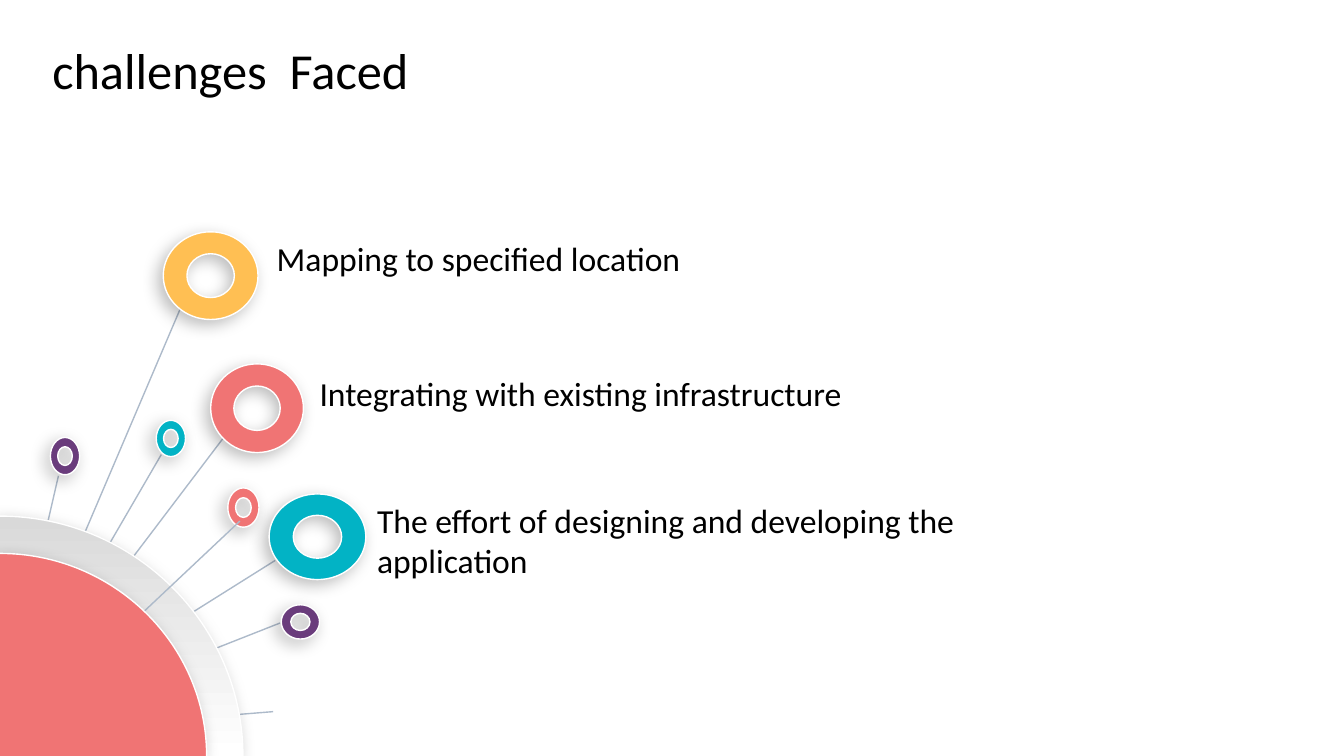
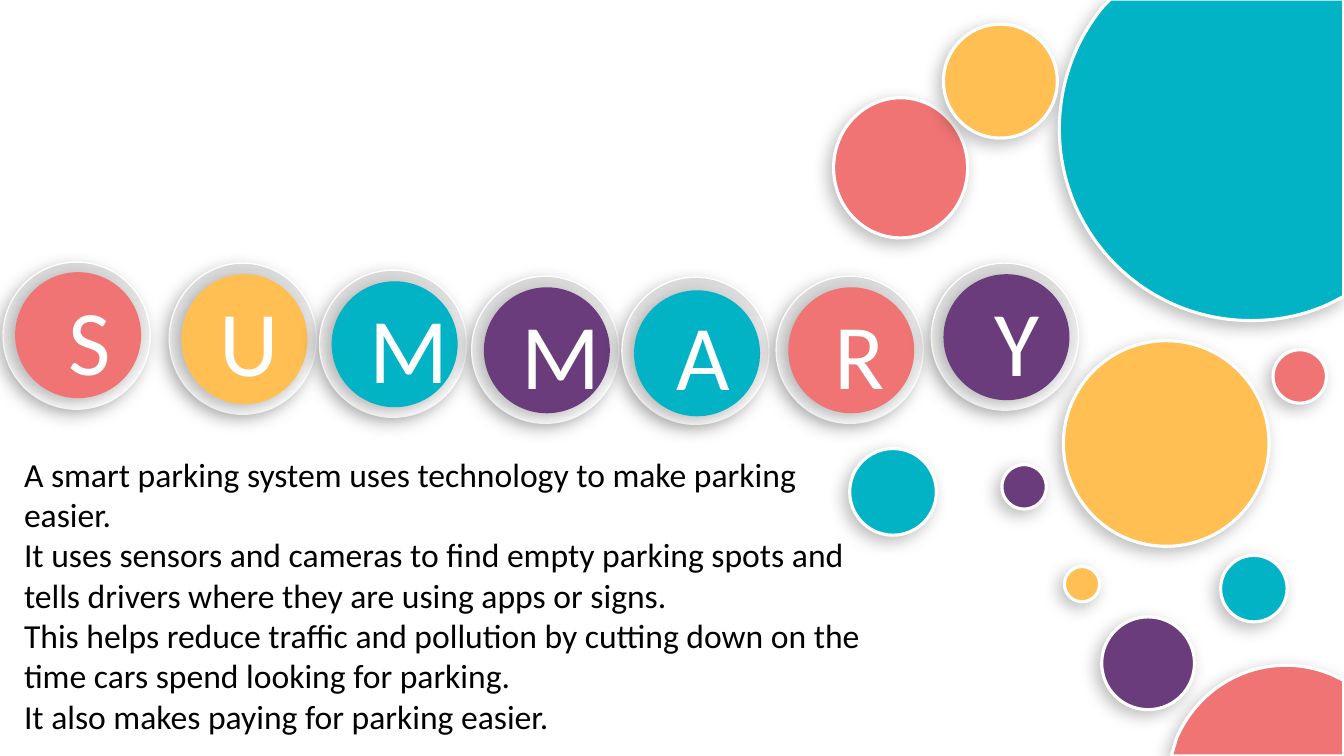
"""Build the challenges and summary slides of the smart parking deck."""
import copy
import dataclasses

import lxml.etree
import pptx
import pptx.dml.color
import pptx.enum.shapes
import pptx.enum.text
import pptx.oxml.ns
import pptx.util

PX = 9144
HEIGHT = 750
KAPPA = 0.55
ALIGN = pptx.enum.text.PP_ALIGN
LEFT, CENTER, RIGHT = ALIGN.LEFT, ALIGN.CENTER, ALIGN.RIGHT
qn = pptx.oxml.ns.qn


@dataclasses.dataclass(frozen=True)
class Theme:
    coral: str = "F07474"
    amber: str = "FFBF53"
    teal: str = "02B3C5"
    purple: str = "6A3C7C"
    white: str = "FFFFFF"
    silver: str = "D9D9D9"
    ray: str = "ADBACA"
    ink: str = "000000"
    font: str = "Calibri"
    title: int = 36
    body: int = 24
    letter: int = 66
    thin: float = 1
    thick: float = 2.25


THEME = Theme()
METAL = (THEME.white, THEME.silver)

TITLE = ("challenges  Faced", (42, 34, 465, 71))
CHALLENGES = [
    (" Mapping to specified location", (267, 236, 591, 54)),
    ("Integrating with existing infrastructure", (317, 370, 591, 40)),
    ("The effort of designing and developing the application", (374, 496, 591, 81)),
]
BIG_RINGS = [
    ((162, 230, 94, 87), THEME.amber),
    ((209, 361, 92, 88), THEME.coral),
    ((267, 490, 96, 85), THEME.teal),
    ((50, 434, 29, 37), THEME.purple),
]
SMALL_RINGS = [
    ((155, 417, 29, 36), THEME.teal),
    ((226, 484, 31, 39), THEME.coral),
    ((279, 600, 38, 34), THEME.purple),
]
HUB = (-1, 728)
RAY_TIPS = [(271, 706), (58, 472), (160, 451), (278, 618),
            (179, 306), (222, 434), (273, 556)]
FRONT_RAY = ((238, 517), (-3, 744))
HUB_RIM = (241, 238)
HUB_CORE = (205, 201)

EDGE_DISCS = {
    THEME.teal: [
        [(1102, -1)], [(1333, -1)], [(1333, 294)], [(1331, 295)],
        [(1305, 310), (1274, 318), (1241, 318)],
        [(1136, 318), (1051, 233), (1051, 128)],
        [(1051, 82), (1067, 40), (1094, 7)],
    ],
    THEME.coral: [
        [(1276, 660)], [(1293, 660), (1309, 664), (1323, 670)],
        [(1333, 675)], [(1333, 750)], [(1162, 750)], [(1167, 733)],
        [(1185, 690), (1227, 660), (1276, 660)],
    ],
}
BUBBLES = [
    ((1055, 338, 204, 204), THEME.amber),
    ((827, 97, 133, 139), THEME.coral),
    ((1093, 612, 92, 92), THEME.purple),
    ((1211, 551, 66, 66), THEME.teal),
    ((936, 24, 113, 113), THEME.amber),
    ((1263, 347, 53, 53), THEME.coral),
    ((1056, 562, 35, 35), THEME.amber),
    ((843, 445, 86, 86), THEME.teal),
    ((994, 461, 44, 44), THEME.purple),
]
BADGES = [
    ("S", THEME.coral, 3, 260, 146, 10, RIGHT),
    ("U", THEME.amber, 168, 261, 150, 11, LEFT),
    ("M", THEME.teal, 317, 268, 146, 11, CENTER),
    ("M", THEME.purple, 468, 274, 146, 11, CENTER),
    ("A", THEME.teal, 617, 275, 146, 13, RIGHT),
    ("R", THEME.coral, 770, 274, 146, 11, RIGHT),
    ("Y", THEME.purple, 924, 261, 146, 11, RIGHT),
]
SUMMARY = [
    "A smart parking system uses technology to make parking easier.",
    "It uses sensors and cameras to find empty parking spots and tells drivers "
    "where they are using apps or signs.",
    "This helps reduce traffic and pollution by cutting down on the time cars "
    "spend looking for parking.",
    "It also makes paying for parking easier.",
]
SUMMARY_BOX = (14, 445, 873, 301)


def emu(lengths):
    return [round(length * PX) for length in lengths]


def rgb(colour):
    return pptx.dml.color.RGBColor.from_string(colour)


def cast_shadow(shape):
    shape.shadow.inherit = False
    effects = shape._element.spPr.find(qn("a:effectLst"))
    shadow = lxml.etree.SubElement(
        effects, qn("a:outerShdw"), blurRad="152400",
        dist="63500", dir="8100000", algn="tr", rotWithShape="0")
    colour = lxml.etree.SubElement(shadow, qn("a:srgbClr"), val=THEME.ink)
    lxml.etree.SubElement(colour, qn("a:alpha"), val="26000")


def dress(shape, fill, weight):
    if fill == METAL:
        shape.fill.gradient()
        shape.fill.gradient_angle = 90
        for stop, colour in zip(shape.fill.gradient_stops, fill):
            stop.color.rgb = rgb(colour)
    else:
        shape.fill.solid()
        shape.fill.fore_color.rgb = rgb(fill)
    if weight:
        shape.line.color.rgb = rgb(THEME.white)
        shape.line.width = pptx.util.Pt(weight)
    else:
        shape.line.fill.background()
    cast_shadow(shape)


def quarter(cx, cy, rx, ry):
    """Return the curve from the point level with the centre to the one above it."""
    return [(cx + rx, cy - KAPPA * ry), (cx + KAPPA * rx, cy - ry), (cx, cy - ry)]


def ellipse(cx, cy, rx, ry):
    contour = [[(cx - rx, cy)]]
    for sx, sy in ((-1, 1), (1, 1), (1, -1), (-1, -1)):
        arc = quarter(cx, cy, sx * rx, sy * ry)
        if sx == sy:
            arc = [arc[1], arc[0], (cx + sx * rx, cy)]
        contour.append(arc)
    return contour


def add_outline(shapes, contours, fill, weight):
    """Draw closed contours whose segments are one point or a three-point curve."""
    builder = shapes.build_freeform(*emu(contours[0][0][0]))
    for index, (start, *segments) in enumerate(contours):
        if index:
            builder.move_to(*emu(start[0]))
        builder.add_line_segments(
            [emu(point) for segment in segments for point in segment], close=True)
    outline = builder.convert_to_shape()
    legs = iter(list(outline._element.iter(qn("a:lnTo"))))
    for segment in (part for contour in contours for part in contour[1:]):
        taken = [next(legs) for _ in segment]
        if len(taken) == 3:
            curve = lxml.etree.Element(qn("a:cubicBezTo"))
            taken[0].addprevious(curve)
            for leg in taken:
                curve.append(leg[0])
                leg.getparent().remove(leg)
    dress(outline, fill, weight)
    return outline


def add_ring(shapes, box, fill):
    x, y, width, height = box
    cx, cy = x + width / 2, y + height / 2
    add_outline(shapes, [ellipse(cx, cy, width / 2, height / 2),
                         ellipse(cx, cy, width / 4, -height / 4)],
                fill, THEME.thin)


def add_hub(shapes, radii, fill):
    """Draw a quarter disc in the corner, outlined along its arc only."""
    rx, ry = radii
    arc = quarter(0, HEIGHT, rx, ry)
    contour = [[(0, HEIGHT - ry)], [arc[1], arc[0], (rx, HEIGHT)], [(0, HEIGHT)]]
    hub = add_outline(shapes, [contour], fill, THEME.thin)
    area = next(hub._element.iter(qn("a:path")))
    rim = copy.deepcopy(area)
    for side in rim[2:]:
        rim.remove(side)
    rim.set("fill", "none")
    area.set("stroke", "0")
    area.addprevious(rim)


def add_disc(shapes, box, fill, weight):
    disc = shapes.add_shape(pptx.enum.shapes.MSO_SHAPE.OVAL, *emu(box))
    dress(disc, fill, weight)


def add_ray(shapes, tip, root):
    ray = shapes.add_connector(
        pptx.enum.shapes.MSO_CONNECTOR.STRAIGHT, *emu(tip + root))
    ray.line.color.rgb = rgb(THEME.ray)
    ray.line.width = pptx.util.Pt(THEME.thin)
    lxml.etree.SubElement(ray._element.spPr, qn("a:effectLst"))


def add_text(shapes, text, box, size, colour=THEME.ink, align=LEFT, inset=True):
    frame = shapes.add_textbox(*emu(box)).text_frame
    frame.word_wrap = True
    if not inset:
        frame.margin_left = frame.margin_right = 0
        frame.margin_top = frame.margin_bottom = 0
    frame.text = text
    for paragraph in frame.paragraphs:
        paragraph.alignment = align
        for run in paragraph.runs:
            run.font.name = THEME.font
            run.font.size = pptx.util.Pt(size)
            run.font.color.rgb = rgb(colour)


def add_badge(shapes, letter, fill, x, y, height, disc_top, align):
    badge = shapes.add_group_shape().shapes
    add_disc(badge, (x, y, 146, height), METAL, THEME.thin)
    add_disc(badge, (x + 12, y + disc_top, 125, height - 21), fill, 0)
    add_text(badge, letter, (x + 40, y + 16, 77, 121), THEME.letter,
             THEME.white, align)


def build_challenges(shapes):
    add_text(shapes, *TITLE, THEME.title)
    for tip in RAY_TIPS:
        add_ray(shapes, tip, HUB)
    for box, fill in SMALL_RINGS:
        add_ring(shapes, box, fill)
    add_hub(shapes, HUB_RIM, METAL)
    add_ray(shapes, *FRONT_RAY)
    add_hub(shapes, HUB_CORE, THEME.coral)
    for box, fill in BIG_RINGS:
        add_ring(shapes, box, fill)
    for challenge, box in CHALLENGES:
        add_text(shapes, challenge, box, THEME.body, inset=False)


def build_summary(shapes):
    for fill, contour in EDGE_DISCS.items():
        add_outline(shapes, [contour], fill, THEME.thick)
    for box, fill in BUBBLES:
        add_disc(shapes, box, fill, THEME.thick)
    for badge in BADGES:
        add_badge(shapes, *badge)
    add_text(shapes, "\n".join(SUMMARY), SUMMARY_BOX, THEME.body)


def main():
    deck = pptx.Presentation()
    deck.slide_height = HEIGHT * PX
    deck.slide_width = deck.slide_height * 16 // 9
    for build in (build_challenges, build_summary):
        build(deck.slides.add_slide(deck.slide_layouts[6]).shapes)
    deck.save("out.pptx")


if __name__ == "__main__":
    main()
